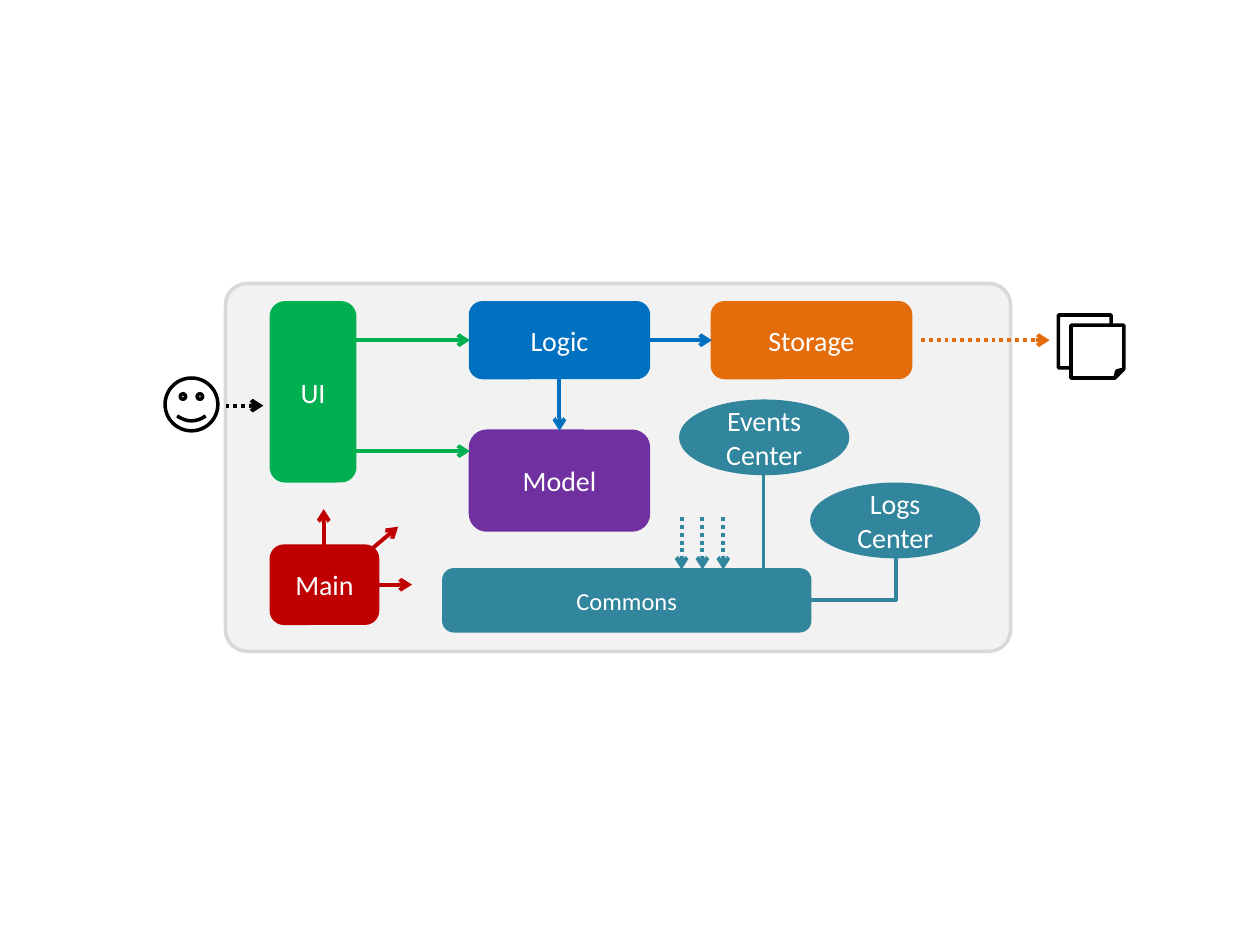
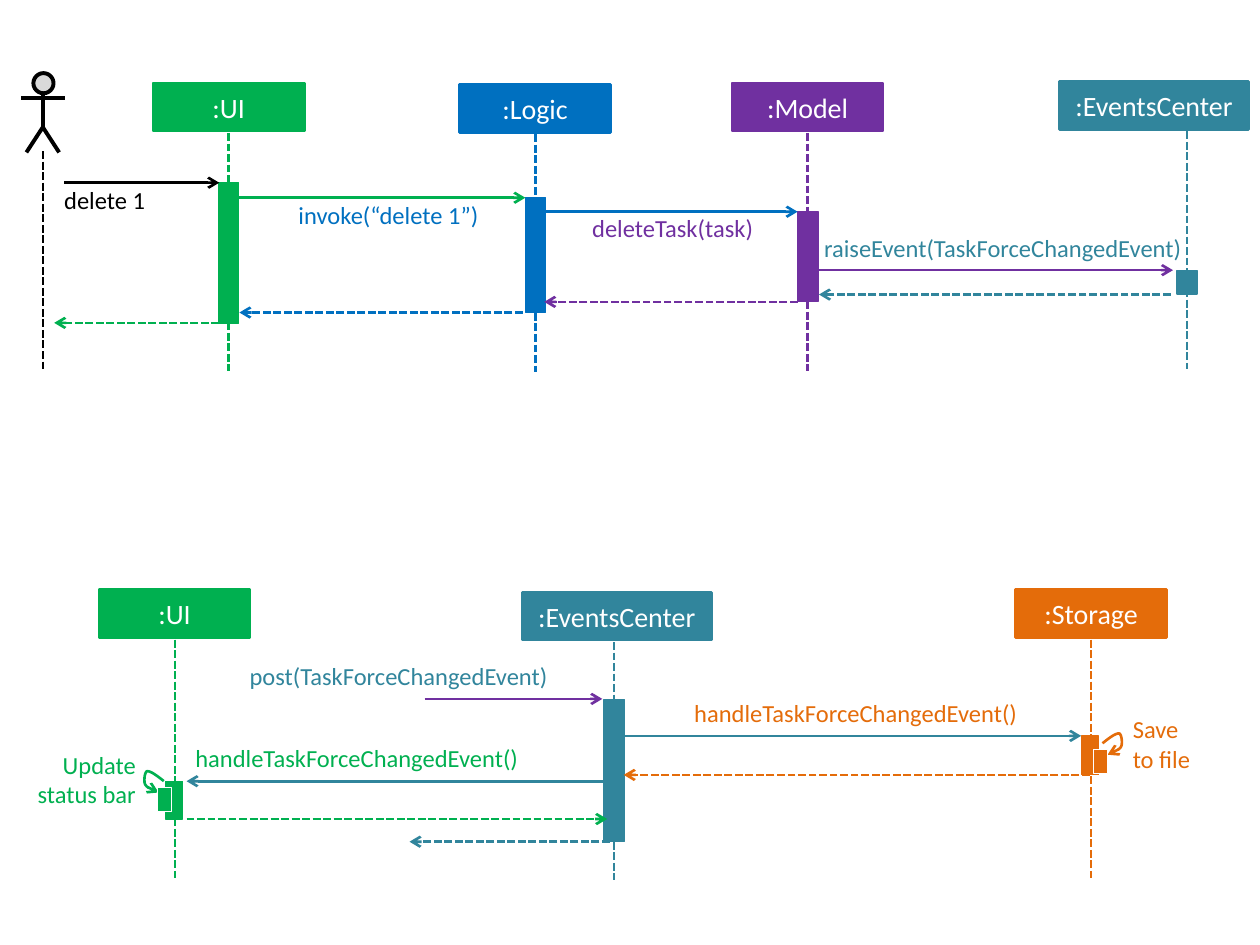
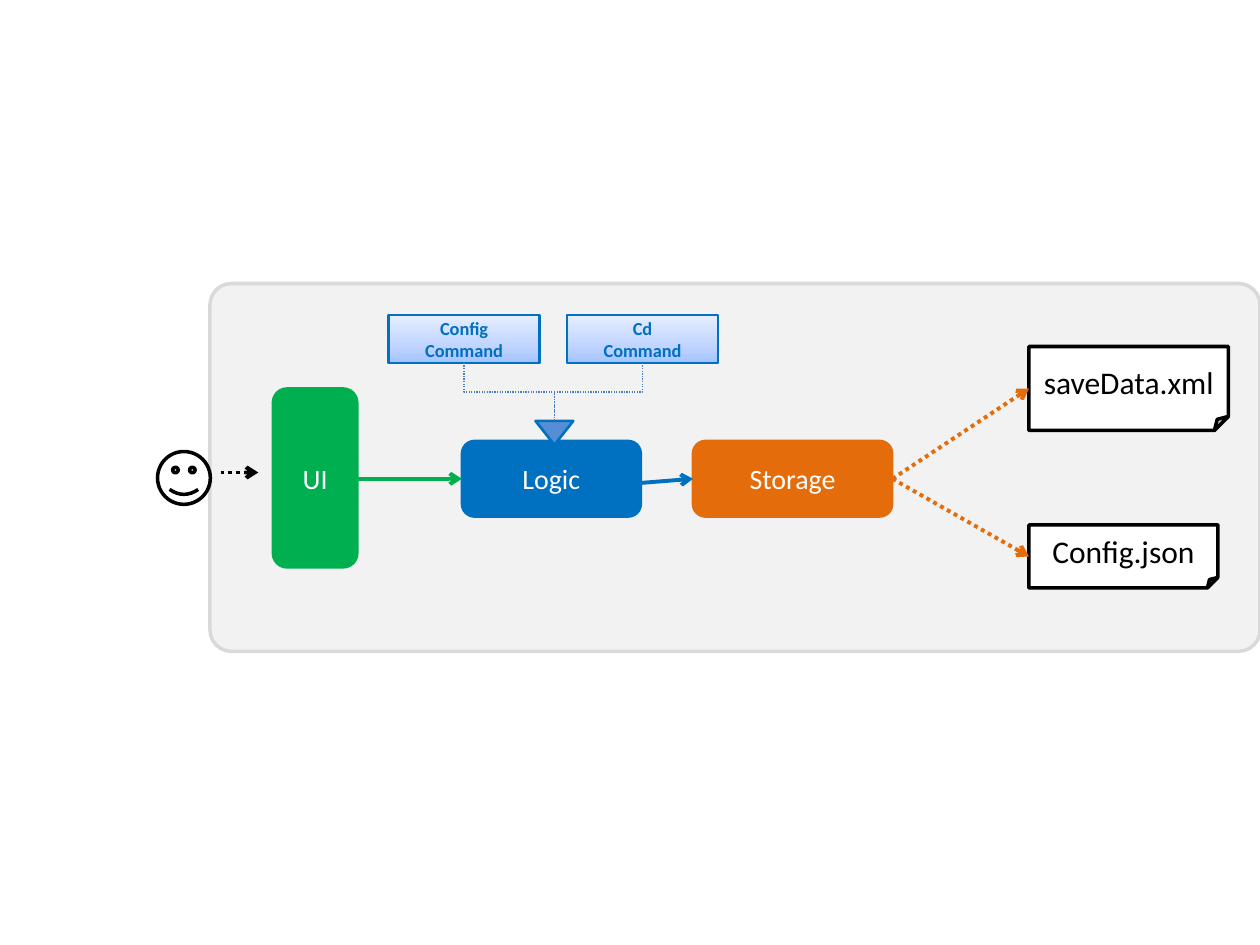
import copy
from dataclasses import dataclass
from typing import Optional

import pptx
import pptx.dml.color
import pptx.enum.dml
import pptx.enum.shapes
import pptx.enum.text
import pptx.oxml
import pptx.oxml.ns
import pptx.util

Pt = pptx.util.Pt
qn = pptx.oxml.ns.qn
SHAPE = pptx.enum.shapes.MSO_SHAPE
CONNECTOR = pptx.enum.shapes.MSO_CONNECTOR
ALIGN = pptx.enum.text.PP_ALIGN
DOTS = pptx.enum.dml.MSO_LINE.ROUND_DOT
DASHES = pptx.enum.dml.MSO_LINE.SQUARE_DOT

FONT = "Calibri"
COLOURS = {
    "ui": "00B050", "logic": "0070C0", "model": "7030A0", "storage": "E46C0A",
    "commons": "31859C", "main": "C00000", "black": "000000", "white": "FFFFFF",
    "frame": "F2F2F2", "frame line": "D9D9D9", "triangle": "558ED5", "branch": "4B7EBC",
}
COMMAND_GRADIENT = [(0, "A4C4FF"), (0.35, "BFD4FF"), (1, "E6EEFF")]


# All lengths below are in points.
@dataclass
class Box:
    left: float
    top: float
    width: float
    height: float
    fill: str
    text: str = ""
    size: float = 16
    kind: SHAPE = SHAPE.ROUNDED_RECTANGLE
    line: str = ""
    line_width: float = 1.5
    text_colour: str = "white"
    bold: bool = False


@dataclass
class Line:
    x1: float
    y1: float
    x2: float
    y2: float
    colour: str
    width: float = 2.25
    dash: Optional[pptx.enum.dml.MSO_LINE] = None
    arrow: bool = True


@dataclass
class Label:
    text: str
    left: float
    top: float
    width: float
    colour: str
    height: float = 17.3
    align: ALIGN = ALIGN.LEFT


@dataclass
class Participant:
    name: str
    colour: str
    left: float
    top: float
    width: float
    axis: float
    bar_top: float
    bar_height: float
    bar_width: float = 11.5


@dataclass
class Message:
    start: float
    end: float
    y: float
    colour: str
    reply: bool = False


# Drawing helpers
def rgb(name: str) -> pptx.dml.color.RGBColor:
    return pptx.dml.color.RGBColor.from_string(COLOURS[name])


def write_text(text_frame, text: str, size: float, colour: str, align: ALIGN, bold: bool = False) -> None:
    text_frame.word_wrap = True
    text_frame.text = text
    for paragraph in text_frame.paragraphs:
        paragraph.alignment = align
        paragraph.font.name = FONT
        paragraph.font.size = Pt(size)
        paragraph.font.bold = bold
        paragraph.font.color.rgb = rgb(colour)


def draw_box(slide, box: Box):
    shape = slide.shapes.add_shape(box.kind, Pt(box.left), Pt(box.top), Pt(box.width), Pt(box.height))
    shape.shadow.inherit = False
    shape.fill.solid()
    shape.fill.fore_color.rgb = rgb(box.fill)
    shape.line.color.rgb = rgb(box.line or box.fill)
    shape.line.width = Pt(box.line_width)
    if box.text:
        shape.text_frame.vertical_anchor = pptx.enum.text.MSO_ANCHOR.MIDDLE
        write_text(shape.text_frame, box.text, box.size, box.text_colour, ALIGN.CENTER, box.bold)
    return shape


def add_arrowhead(line_format, end: str) -> None:
    pptx.oxml.ns  # namespace helpers
    head = line_format._get_or_add_ln().makeelement(qn(end), {"type": "arrow"})
    line_format._get_or_add_ln().append(head)


def draw_line(slide, line: Line, kind: CONNECTOR = CONNECTOR.STRAIGHT):
    connector = slide.shapes.add_connector(kind, Pt(line.x1), Pt(line.y1), Pt(line.x2), Pt(line.y2))
    connector.line.color.rgb = rgb(line.colour)
    connector.line.width = Pt(line.width)
    if line.dash is not None:
        connector.line.dash_style = line.dash
    if line.arrow:
        add_arrowhead(connector.line, "a:tailEnd")
    properties = connector._element.spPr
    properties.append(properties.makeelement(qn("a:effectLst"), {}))
    return connector


def draw_elbow(slide, line: Line, preset: str = "bentConnector3") -> None:
    """Draw an elbow that leaves its start vertically: a turned horizontal one."""
    centre_x, centre_y = (line.x1 + line.x2) / 2, (line.y1 + line.y2) / 2
    half_width, half_height = abs(line.y2 - line.y1) / 2, abs(line.x2 - line.x1) / 2
    rightward = line.x2 > line.x1
    side = -1 if rightward else 1
    turned = Line(centre_x - side * half_width, centre_y - half_height,
                  centre_x + side * half_width, centre_y + half_height,
                  line.colour, line.width, line.dash, line.arrow)
    properties = draw_line(slide, turned, CONNECTOR.ELBOW)._element.spPr
    properties.find(qn("a:xfrm")).set("rot", str((270 if rightward else 90) * 60000))
    properties.find(qn("a:prstGeom")).set("prst", preset)


def draw_label(slide, label: Label) -> None:
    shape = slide.shapes.add_textbox(Pt(label.left), Pt(label.top), Pt(label.width), Pt(label.height))
    frame = shape.text_frame
    frame.margin_left = frame.margin_right = frame.margin_top = frame.margin_bottom = 0
    write_text(frame, label.text, 14, label.colour, label.align)


def draw_path(slide, points: list, colour: str, width: float):
    corners = [(Pt(x), Pt(y)) for x, y in points]
    builder = slide.shapes.build_freeform(*corners[0])
    builder.add_line_segments(corners[1:], close=False)
    shape = builder.convert_to_shape()
    shape.shadow.inherit = False
    shape.fill.background()
    shape.line.color.rgb = rgb(colour)
    shape.line.width = Pt(width)
    return shape


def draw_frame(slide, left: float, width: float) -> None:
    frame = draw_box(slide, Box(left, 162, width, 210.2, "frame", line="frame line", line_width=2))
    frame.adjustments[0] = 0.058


def draw_user(slide, left: float, top: float) -> None:
    draw_box(slide, Box(left, top, 30.2, 30.2, "white", kind=SHAPE.SMILEY_FACE, line="black", line_width=2))


def draw_file(slide, left: float, top: float, width: float, height: float, text: str = "") -> None:
    draw_box(slide, Box(left, top, width, height, "white", text, 18, SHAPE.FOLDED_CORNER, "black", 2, "black"))


def draw_participant(slide, person: Participant) -> None:
    draw_box(slide, Box(person.left, person.top, person.width, 27.4, person.colour, person.name,
                        kind=SHAPE.RECTANGLE))
    draw_line(slide, Line(person.axis, person.top + 28.5, person.axis, person.top + 164.5,
                          person.colour, 1.5, DASHES, False))
    draw_box(slide, Box(person.axis - 5.6, person.bar_top, person.bar_width, person.bar_height,
                        person.colour, kind=SHAPE.RECTANGLE, line_width=0.75))


def draw_message(slide, message: Message) -> None:
    draw_line(slide, Line(message.start, message.y, message.end, message.y, message.colour, 1.5,
                          DASHES if message.reply else None))


# Self-call loop: three Bezier curves, relative to the arrow tip
LOOP = [(0, 0), (-3.6, -1.4), (-7.2, -2.9), (-7.9, -5), (-8.6, -7.2),
        (-7.9, -12.2), (-6.5, -12.2), (-4.3, -12.2), (-0.7, -9.4), (2.9, -6.5)]


def bezier(controls: list, t: float) -> tuple:
    weights = ((1 - t) ** 3, 3 * t * (1 - t) ** 2, 3 * t * t * (1 - t), t ** 3)
    return tuple(sum(w * point[axis] for w, point in zip(weights, controls)) for axis in (0, 1))


def draw_self_call(slide, tip_x: float, tip_y: float, side: int, bar_left: float, colour: str) -> None:
    steps = 8
    curve = [LOOP[0]] + [bezier(LOOP[first:first + 4], step / steps)
                         for first in (0, 3, 6) for step in range(1, steps + 1)]
    loop = draw_path(slide, [(tip_x + side * x, tip_y + y) for x, y in curve], colour, 1.5)
    add_arrowhead(loop.line, "a:headEnd")
    draw_box(slide, Box(bar_left, tip_y - 2.9, 7.9, 13.7, colour, kind=SHAPE.RECTANGLE,
                        line="white", line_width=0.75))


def draw_command(slide, left: float, text: str) -> None:
    shape = draw_box(slide, Box(left, 180, 86.4, 27.4, "white", text, 10.5, SHAPE.RECTANGLE,
                                "logic", 1.5, "logic", True))
    shape.fill.gradient()
    shape.fill.gradient_angle = 90
    stops = shape._element.spPr.find(qn("a:gradFill")).find(qn("a:gsLst"))
    stops.insert(1, copy.deepcopy(stops[0]))
    for stop, (position, colour) in zip(shape.fill.gradient_stops, COMMAND_GRADIENT):
        stop.position = position
        stop.color.rgb = pptx.dml.color.RGBColor.from_string(colour)


# Slides
def build_architecture(slide) -> None:
    draw_frame(slide, 128.9, 448.6)
    for box in (
        Box(154.8, 172.8, 48.2, 102.2, "ui", "UI"),
        Box(268.6, 172.8, 102.2, 43.2, "logic", "Logic"),
        Box(406.8, 172.8, 113.8, 43.2, "storage", "Storage"),
        Box(268.6, 246.2, 102.2, 56.9, "model", "Model"),
        Box(253.4, 325.4, 209.5, 35.3, "commons", "Commons", 14),
        Box(154.8, 311.8, 61.2, 44.6, "main", "Main"),
        Box(388.8, 229, 95.8, 41.8, "commons", "Events Center", kind=SHAPE.OVAL),
        Box(463.7, 276.5, 95.8, 41.8, "commons", "Logs\vCenter", kind=SHAPE.OVAL),
    ):
        draw_box(slide, box)
    draw_user(slide, 94.3, 216)
    draw_file(slide, 604.8, 180, 30.2, 30.2)
    draw_file(slide, 612, 185.8, 30.2, 30.2)
    for line in (
        Line(202.3, 194.4, 268.6, 194.4, "ui"),
        Line(202.3, 257.8, 268.6, 257.8, "ui"),
        Line(319.7, 216, 319.7, 246.2, "logic"),
        Line(370.8, 194.4, 406.8, 194.4, "logic"),
        Line(128.9, 231.8, 150.5, 231.8, "black", dash=DOTS),
        Line(526.3, 194.4, 599.8, 194.4, "storage", dash=DOTS),
        Line(216, 334.1, 235.4, 334.1, "main"),
        Line(204.5, 320.4, 227.5, 301, "main"),
        Line(185, 314.6, 185, 290.9, "main"),
        Line(436.3, 271.4, 436.3, 326.2, "commons", arrow=False),
    ):
        draw_line(slide, line)
    for x in (389.5, 401.4, 413.3):
        draw_line(slide, Line(x, 295.5, x, 325.5, "commons", dash=DOTS))
    draw_elbow(slide, Line(511.9, 319, 463, 342.7, "commons", arrow=False), "bentConnector2")


def build_sequences(slide) -> None:
    # Stick figure with its lifeline
    draw_box(slide, Box(19.1, 41.8, 11.5, 11.5, "frame line", kind=SHAPE.FLOWCHART_CONNECTOR,
                        line="black", line_width=2.25))
    draw_line(slide, Line(24.6, 53.3, 24.6, 73.4, "black", arrow=False))
    draw_line(slide, Line(12.2, 56.2, 37.4, 56.2, "black", arrow=False))
    draw_path(slide, [(15.1, 87.1), (24.5, 72.7), (33.8, 87.1)], "black", 2.25)
    draw_line(slide, Line(24.6, 86.4, 24.6, 212.4, "black", 1.5, DASHES, False))

    for person in (
        # Deleting a task
        Participant(":UI", "ui", 87.5, 47.5, 86.4, 130.6, 104.4, 80.3),
        Participant(":Logic", "logic", 262.6, 48.2, 86.4, 306, 113, 65.5),
        Participant(":Model", "model", 418.3, 47.5, 86.4, 461.5, 121, 51.1),
        Participant(":EventsCenter", "commons", 605.5, 46.6, 108, 678.2, 154.4, 13.7),
        # Handling the event
        Participant(":UI", "ui", 56.6, 337, 86.4, 100, 446.4, 21.6, 10),
        Participant(":EventsCenter", "commons", 298.5, 338.4, 108, 350.8, 399.6, 81.4),
        Participant(":Storage", "storage", 580.3, 337, 86.4, 623.5, 420.5, 22.3, 10),
    ):
        draw_participant(slide, person)
    for message in (
        Message(36.7, 125.3, 104.4, "black"),
        Message(136.8, 300.2, 113, "ui"),
        Message(311, 455.8, 121, "logic"),
        Message(468, 670.3, 154.4, "model"),
        Message(668.9, 468, 168.3, "commons", True),
        Message(455.8, 311, 172.5, "model", True),
        Message(298.8, 136.8, 178.6, "logic", True),
        Message(125.3, 31, 184.5, "ui", True),
        Message(242.6, 344.2, 399.4, "model"),
        Message(356.4, 617.8, 420.5, "commons"),
        Message(622.8, 356.4, 442.8, "storage", True),
        Message(347, 106.6, 446.4, "commons"),
        Message(106.6, 347, 468, "ui", True),
        Message(348.5, 234, 481, "commons", True),
    ):
        draw_message(slide, message)
    handler = "handleTaskForceChangedEvent()"
    for label in (
        Label("delete 1", 36.7, 105.8, 67.7, "black"),
        Label("invoke(“delete 1”)", 170.6, 114.5, 112.3, "logic"),
        Label("deleteTask(task)", 338.4, 121.7, 112.3, "model"),
        Label("raiseEvent(TaskForceChangedEvent)", 470.9, 133.2, 208, "commons"),
        Label("post(TaskForceChangedEvent)", 142.6, 378, 213.8, "commons"),
        Label(handler, 396.7, 398.9, 209.5, "storage"),
        Label(handler, 111.6, 424.8, 209.5, "ui"),
        Label("Update status bar", 15.1, 428.4, 62.6, "ui", 33.8, ALIGN.RIGHT),
        Label("Save\vto file", 647.3, 408.2, 42.5, "storage", 33.8),
    ):
        draw_label(slide, label)
    draw_self_call(slide, 90.7, 452.9, 1, 90, "ui")
    draw_self_call(slide, 632.9, 431.3, -1, 625, "storage")


def build_commands(slide) -> None:
    draw_frame(slide, 120, 600)
    draw_user(slide, 90, 258)
    draw_box(slide, Box(156, 222, 48.2, 102.2, "ui", "UI"))
    draw_box(slide, Box(264, 252, 102.2, 43.2, "logic", "Logic"))
    draw_box(slide, Box(396, 252, 113.8, 43.2, "storage", "Storage"))
    draw_command(slide, 222, "Config\nCommand")
    draw_command(slide, 324, "Cd\nCommand")
    triangle = draw_box(slide, Box(306, 240.5, 21.6, 13.7, "triangle", kind=SHAPE.ISOSCELES_TRIANGLE,
                                   line="logic"))
    triangle.rotation = 180
    for x in (265.2, 367.2):
        draw_elbow(slide, Line(x, 207.4, 316.8, 240.5, "branch", 0.75, DOTS, False))
    draw_file(slide, 588, 300, 108, 36, "Config.json")
    draw_file(slide, 588, 198, 114, 48, "saveData.xml")
    for line in (
        Line(126, 270, 147.6, 270, "black", dash=DOTS),
        Line(204, 273.6, 264, 273.6, "ui"),
        Line(366, 276, 396, 273.6, "logic"),
        Line(510, 273.6, 588, 318, "storage", dash=DOTS),
        Line(510, 273.6, 588, 222, "storage", dash=DOTS),
    ):
        draw_line(slide, line)


presentation = pptx.Presentation()
presentation.slide_width = Pt(720)
presentation.slide_height = Pt(540)
blank_layout = presentation.slide_layouts[6]
for build in (build_architecture, build_sequences, build_commands):
    build(presentation.slides.add_slide(blank_layout))
presentation.save("out.pptx")
